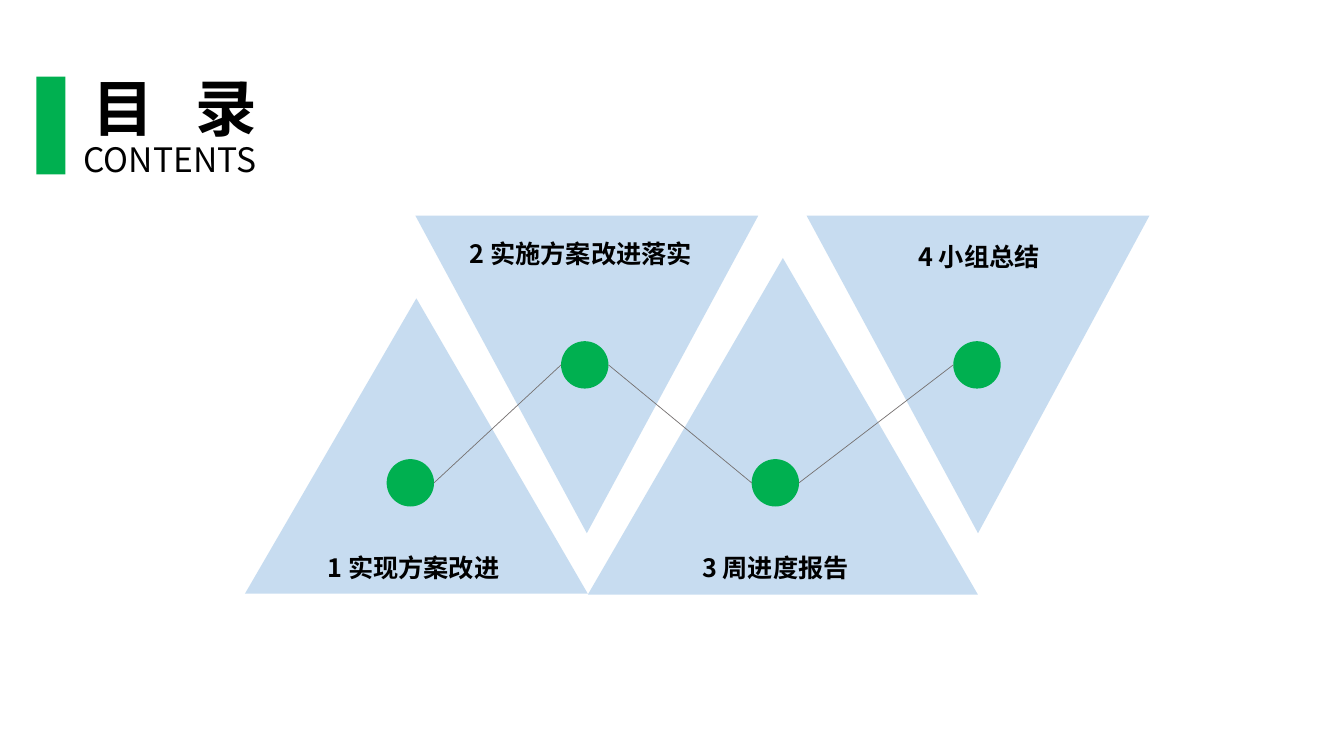
from itertools import pairwise

from lxml import etree
from pptx import Presentation
from pptx import util as u
from pptx.dml.color import RGBColor
from pptx.enum import shapes, text
from pptx.oxml import ns

FONT = "Noto Sans CJK SC"
GREEN, BLUE, GRAY, BLACK = "00B050", "5B9BD5", "767171", "000000"
DOT = 0.47
STEPS = [
    ("1 实现方案改进", (2.43, 2.96, 3.4, 2.93), 0, (2.6, 5.43), (4.07, 4.79)),
    ("2 实施方案改进落实", (4.12, 2.14, 3.4, 3.15), 180, (4.26, 2.32), (5.8, 3.62)),
    ("3 周进度报告", (5.83, 2.56, 3.87, 3.34), 0, (6.19, 5.43), (7.69, 4.79)),
    ("4 小组总结", (8, 2.14, 3.4, 3.15), 180, (8.21, 2.34), (9.69, 3.62)),
]


def color(code):
    return RGBColor.from_string(code)


def inches(values):
    return [u.Inches(v) for v in values]


class Page:
    def __init__(self, deck):
        self.slide = deck.slides.add_slide(deck.slide_layouts[5])
        self.shapes = self.slide.shapes

    def shape(self, kind, box, fill, alpha=100, turn=0):
        item = self.shapes.add_shape(kind, *inches(box))
        item.shadow.inherit = False
        item.rotation = turn
        item.fill.solid()
        item.fill.fore_color.rgb = color(fill)
        item.line.fill.background()
        if alpha < 100:
            tint = item.fill._xPr.find(".//" + ns.qn("a:srgbClr"))
            etree.SubElement(tint, ns.qn("a:alpha"), val=str(alpha * 1000))

    def style(self, frame, size, bold, align):
        frame.word_wrap = True
        frame.auto_size = text.MSO_AUTO_SIZE.NONE
        frame.vertical_anchor = text.MSO_ANCHOR.TOP
        para = frame.paragraphs[0]
        para.alignment = align
        para.line_spacing = 1.0
        font = para.font
        font.name, font.size, font.bold = FONT, u.Pt(size), bold
        font.color.rgb = color(BLACK)
        etree.SubElement(font._element, ns.qn("a:ea"), typeface=FONT)

    def title(self, first, last, box, size, gap):
        item = self.shapes.title
        item.left, item.top, item.width, item.height = inches(box)
        para = item.text_frame.paragraphs[0]
        head = para.add_run()
        head.text = first
        head.font._element.set("spc", str(gap * 100))
        para.add_run().text = last
        self.style(item.text_frame, size, True, text.PP_ALIGN.CENTER)

    def label(self, words, box, size, bold=True, align=text.PP_ALIGN.CENTER):
        frame = self.shapes.add_textbox(*inches(box)).text_frame
        frame.text = words
        self.style(frame, size, bold, align)

    def line(self, start, end):
        item = self.shapes.add_connector(
            shapes.MSO_CONNECTOR.STRAIGHT, *inches(start + end))
        item.line.color.rgb = color(GRAY)
        item.line.width = u.Pt(0.5)
        etree.SubElement(item._element.spPr, ns.qn("a:effectLst"))


def main():
    deck = Presentation()
    deck.slide_width, deck.slide_height = inches((13.33, 7.5))
    page = Page(deck)
    kind = shapes.MSO_SHAPE

    page.shape(kind.RECTANGLE, (0.36, 0.76, 0.29, 0.97), GREEN)
    page.title("目 ", "录", (0.65, 0.64, 2.17, 0.84), 44, 10)
    page.label("CONTENTS", (0.73, 1.33, 1.98, 0.5), 24, False, text.PP_ALIGN.LEFT)

    for words, box, turn, spot, (x, y) in STEPS:
        page.shape(kind.ISOSCELES_TRIANGLE, box, BLUE, 34, turn)
        page.label(words, (*spot, 3, 0.4), 18)
        page.shape(kind.OVAL, (x - DOT / 2, y - DOT / 2, DOT, DOT), GREEN)

    dots = [step[-1] for step in STEPS]
    for (x1, y1), (x2, y2) in pairwise(dots):
        page.line((x1 + DOT / 2, y1), (x2 - DOT / 2, y2))

    deck.save("out.pptx")


if __name__ == "__main__":
    main()
